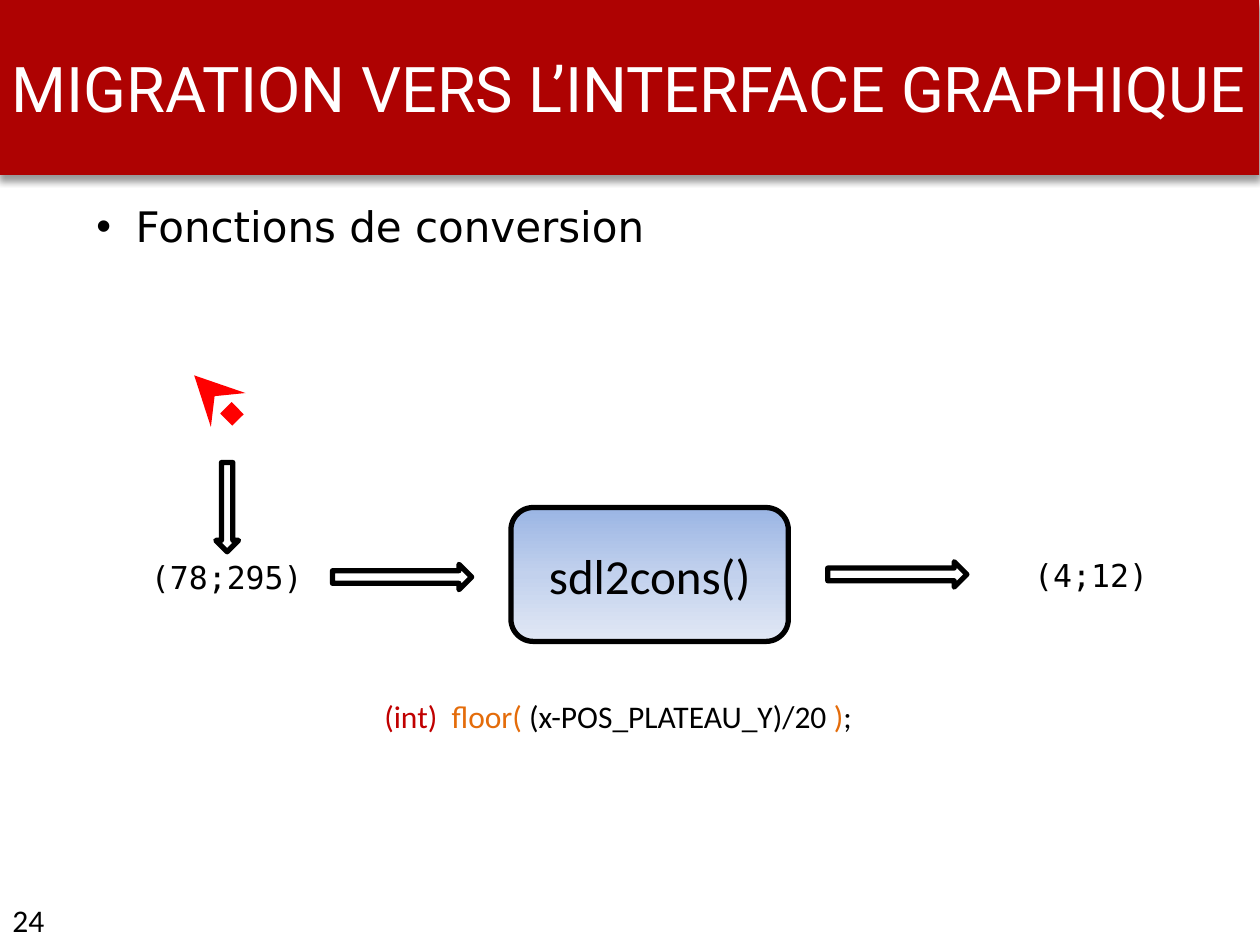
import copy
from dataclasses import dataclass

import pptx
import pptx.dml.color
import pptx.enum.dml
import pptx.enum.shapes
import pptx.enum.text
import pptx.oxml
import pptx.oxml.ns
import pptx.util

Pt = pptx.util.Pt
Shapes = pptx.enum.shapes.MSO_SHAPE
Align = pptx.enum.text.PP_ALIGN
Anchor = pptx.enum.text.MSO_ANCHOR
qn = pptx.oxml.ns.qn
BLACK = "000000"
ORANGE = "E46C0A"
MONO = "DejaVu Sans Mono"


@dataclass
class Box:
    left: float
    top: float
    width: float
    height: float

    def lengths(self):
        return [Pt(v) for v in (self.left, self.top, self.width, self.height)]


@dataclass
class Arrow:
    preset: int
    box: Box


@dataclass
class Label:
    text: str
    box: Box
    font: str = "Calibri"
    size: float = 18
    align: int = Align.LEFT
    bullet: bool = False


ARROWS = [
    Arrow(Shapes.DOWN_ARROW, Box(123.3, 264.3, 13, 51)),
    Arrow(Shapes.RIGHT_ARROW, Box(190, 322.5, 79.5, 14.5)),
    Arrow(Shapes.RIGHT_ARROW, Box(473, 321, 79.5, 14.5)),
]
LABELS = [
    Label("Fonctions de conversion", Box(48, 111, 601, 36), "DejaVu Sans", 24, bullet=True),
    Label("(78;295)", Box(75.6, 315.4, 108, 29), MONO, align=Align.CENTER),
    Label("(4;12)", Box(569.5, 314, 108, 29), MONO, align=Align.CENTER),
    Label("24", Box(0, 511.2, 75.6, 29)),
]
FORMULA = [
    ("(int)  ", "C00000"),
    ("floor(", ORANGE),
    (" (x-POS_PLATEAU_Y)/20 ", BLACK),
    (")", ORANGE),
    (";", BLACK),
]


def rgb(color: str):
    return pptx.dml.color.RGBColor.from_string(color)


def drawing(xml: str):
    namespace = "http://schemas.openxmlformats.org/drawingml/2006/main"
    return pptx.oxml.parse_xml(xml.replace(" ", f' xmlns:a="{namespace}" ', 1))


def add_text(para, text: str, *, font="Calibri", size=18, color=BLACK, align=Align.LEFT):
    para.alignment = align
    span = para.add_run()
    span.text = text
    span.font.name = font
    span.font.size = Pt(size)
    span.font.color.rgb = rgb(color)


def add_text_box(page, box: Box):
    frame = page.shapes.add_textbox(*box.lengths()).text_frame
    frame.word_wrap = True
    return frame.paragraphs[0]


def add_bullet(para):
    properties = para._p.get_or_add_pPr()
    properties.set("marL", str(Pt(22.5)))
    properties.set("indent", str(Pt(-22.5)))
    properties.append(drawing('<a:buFont typeface="Arial"/>'))
    properties.append(drawing('<a:buChar char="•"/>'))


def add_label(page, label: Label):
    para = add_text_box(page, label.box)
    if label.bullet:
        add_bullet(para)
    add_text(para, label.text, font=label.font, size=label.size, align=label.align)


def add_outlined(page, preset: int, box: Box):
    shape = page.shapes.add_shape(preset, *box.lengths())
    shape.shadow.inherit = False
    shape.fill.background()
    shape.line.color.rgb = rgb(BLACK)
    shape.line.width = Pt(3)
    return shape


def add_title(page):
    title = page.shapes.title
    title.left, title.top, title.width, title.height = Box(-0.5, 0, 720, 100).lengths()
    title.fill.solid()
    title.fill.fore_color.rgb = rgb("AE0202")
    title._element.spPr.append(drawing(
        f'<a:effectLst ><a:outerShdw blurRad="{Pt(4)}" dist="{Pt(3)}" dir="5400000" '
        'rotWithShape="0"><a:srgbClr val="000000"><a:alpha val="40000"/>'
        '</a:srgbClr></a:outerShdw></a:effectLst>'))
    frame = title.text_frame
    frame.auto_size = pptx.enum.text.MSO_AUTO_SIZE.NONE
    frame.word_wrap = True
    frame.vertical_anchor = Anchor.MIDDLE
    frame.margin_left = frame.margin_right = 0
    add_text(frame.paragraphs[0], "MIGRATION VERS L’INTERFACE GRAPHIQUE",
             font="Roboto", size=36, color="FFFFFF", align=Align.CENTER)


def add_pointer(page):
    pointer = page.shapes.add_connector(
        pptx.enum.shapes.MSO_CONNECTOR.STRAIGHT, Pt(136), Pt(240), Pt(111), Pt(214.5))
    pointer.line.color.rgb = rgb("FF0000")
    pointer.line.width = Pt(9.25)
    properties = pointer._element.spPr
    properties.find(qn("a:ln")).append(drawing('<a:tailEnd type="stealth"/>'))
    properties.append(drawing("<a:effectLst />"))


def add_function(page):
    shape = add_outlined(page, Shapes.ROUNDED_RECTANGLE, Box(292, 290, 158.5, 76.5))
    shape.fill.gradient()
    shape.fill.gradient_angle = 270
    stop_list = shape._element.spPr.find(qn("a:gradFill")).find(qn("a:gsLst"))
    stop_list.append(copy.deepcopy(stop_list[0]))
    colors = ["9AB5E4", "C2D1ED", "E1E8F5"]
    for index, (stop, color) in enumerate(zip(shape.fill.gradient_stops, colors)):
        stop.position = index / 2
        stop.color.rgb = rgb(color)
    shape.text_frame.vertical_anchor = Anchor.MIDDLE
    add_text(shape.text_frame.paragraphs[0], "sdl2cons()", size=28, align=Align.CENTER)


def main():
    deck = pptx.Presentation()
    deck.slide_width, deck.slide_height = Pt(720), Pt(540)
    page = deck.slides.add_slide(deck.slide_layouts.get_by_name("Title Only"))
    add_title(page)
    add_pointer(page)
    for arrow in ARROWS:
        add_outlined(page, arrow.preset, arrow.box)
    add_function(page)
    for label in LABELS:
        add_label(page, label)
    formula = add_text_box(page, Box(212.5, 394.6, 329, 29))
    for text, color in FORMULA:
        add_text(formula, text, color=color)
    deck.save("out.pptx")


if __name__ == "__main__":
    main()
